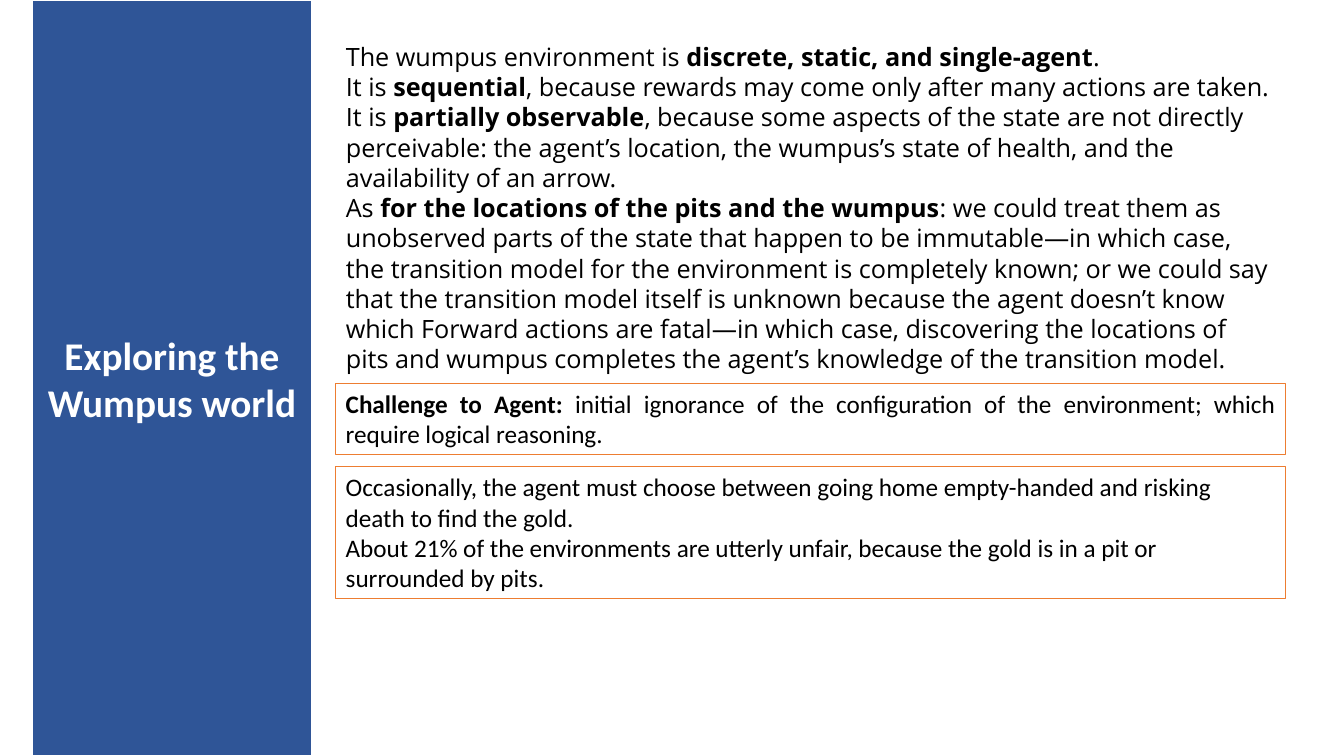
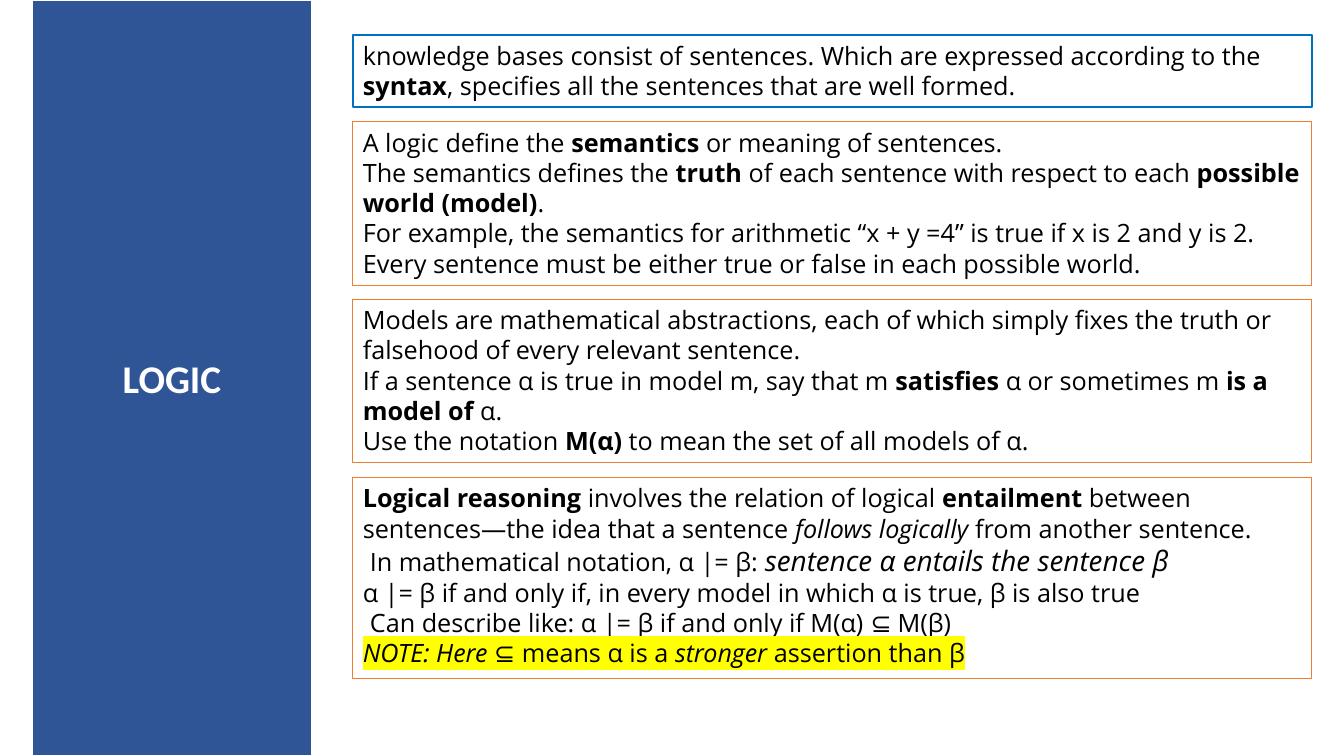
"""Build two slides on the Wumpus world and logic, each with a title band and text panels."""
from dataclasses import dataclass

from lxml import etree
from pptx import Presentation
from pptx import util as u
from pptx.dml import color
from pptx.enum import shapes, text
from pptx.oxml import ns

BLUE, AZURE, ORANGE = "2F5597", "0070C0", "ED7D31"
WHITE, BLACK, YELLOW = "FFFFFF", "000000", "FFFF00"
SANS, CALIBRI = "Open Sans", "Calibri"
FRAME = dict(word_wrap=True, auto_size=text.MSO_AUTO_SIZE.NONE,
             margin_left=u.Inches(0.1), margin_right=u.Inches(0.1),
             margin_top=u.Inches(0.05), margin_bottom=u.Inches(0.05))


@dataclass(frozen=True)
class Span:
    """A stretch of text in one style."""
    words: str
    bold: bool = False
    italic: bool = False
    size: float = 18


@dataclass(frozen=True)
class Para:
    """A paragraph with its first-line indent in inches and highlight."""
    spans: tuple[Span, ...]
    align: text.PP_ALIGN = text.PP_ALIGN.LEFT
    indent: float = 0
    highlight: str = ""


@dataclass(frozen=True)
class Panel:
    """A block of paragraphs, outlined when it has a line colour."""
    top: float
    height: float
    paras: tuple[Para, ...]
    line: str = ORANGE
    weight: float = 0.75
    font: str = SANS


@dataclass(frozen=True)
class Page:
    """A slide: its title and its column of panels."""
    title: str
    left: float
    width: float
    panels: tuple[Panel, ...]


def plain(words: str) -> Span:
    """Return regular text."""
    return Span(words)


def bold(words: str) -> Span:
    """Return bold text."""
    return Span(words, bold=True)


def italic(words: str, size: float = 18) -> Span:
    """Return italic text."""
    return Span(words, italic=True, size=size)


def line(*spans: Span, **options) -> Para:
    """Return a paragraph made of spans."""
    return Para(spans, **options)


def rgb(value: str) -> color.RGBColor:
    """Turn a hex string into a colour."""
    return color.RGBColor.from_string(value)


def apply(target, values: dict) -> None:
    """Set each named attribute on the target."""
    for name, value in values.items():
        setattr(target, name, value)


def place(shape, left: float, top: float, width: float, height: float) -> None:
    """Move and size a shape, in inches."""
    apply(shape, dict(left=u.Inches(left), top=u.Inches(top),
                      width=u.Inches(width), height=u.Inches(height)))


def outline(shape, value: str, weight: float) -> None:
    """Draw the outline of a shape, or none without a colour."""
    if value:
        shape.line.color.rgb = rgb(value)
        shape.line.width = u.Pt(weight)
    else:
        shape.line.fill.background()


def write(shape, paras: tuple[Para, ...], font: str, ink: str = BLACK,
          anchor: text.MSO_ANCHOR = text.MSO_ANCHOR.TOP) -> None:
    """Fill a shape with formatted paragraphs."""
    frame = shape.text_frame
    apply(frame, {**FRAME, "vertical_anchor": anchor})
    for index, para in enumerate(paras):
        target = frame.add_paragraph() if index else frame.paragraphs[0]
        apply(target, dict(alignment=para.align, line_spacing=1.0,
                           space_before=u.Pt(0), space_after=u.Pt(0)))
        props = target._p.get_or_add_pPr()
        props.set("marL", "0")
        props.set("indent", str(u.Inches(para.indent)))
        etree.SubElement(props, ns.qn("a:buNone"))
        for span in para.spans:
            run = target.add_run()
            run.text = span.words
            apply(run.font, dict(name=font, size=u.Pt(span.size),
                                 bold=span.bold, italic=span.italic))
            run.font.color.rgb = rgb(ink)
            if para.highlight:
                mark = etree.Element(ns.qn("a:highlight"))
                etree.SubElement(mark, ns.qn("a:srgbClr"), val=para.highlight)
                run._r.get_or_add_rPr().find(ns.qn("a:latin")).addprevious(mark)


def draw_title(shape, words: str) -> None:
    """Turn the title placeholder into the blue side band."""
    place(shape, 0.32, 0, 2.77, 7.5)
    shape.fill.solid()
    shape.fill.fore_color.rgb = rgb(BLUE)
    outline(shape, WHITE, 1)
    title = line(Span(words, bold=True, size=28), align=text.PP_ALIGN.CENTER)
    write(shape, (title,), CALIBRI, WHITE, text.MSO_ANCHOR.MIDDLE)


def draw_page(deck, page: Page) -> None:
    """Add a slide whose first panel is the body placeholder."""
    slide = deck.slides.add_slide(deck.slide_layouts[1])
    draw_title(slide.shapes.title, page.title)
    for index, panel in enumerate(page.panels):
        if index:
            box = slide.shapes.add_shape(shapes.MSO_SHAPE.RECTANGLE, 0, 0, 0, 0)
            box.shadow.inherit = False
        else:
            box = slide.placeholders[1]
        place(box, page.left, panel.top, page.width, panel.height)
        box.fill.background()
        outline(box, panel.line, panel.weight)
        write(box, panel.paras, panel.font)


PAGES = (
    Page("Exploring the Wumpus world", 3.33, 9.42, (
        Panel(0.36, 3.43, (
            line(plain("The wumpus environment is "),
                 bold("discrete, static, and single-agent"), plain(".")),
            line(plain("It is "), bold("sequential"),
                 plain(", because rewards may come only after many actions are taken.")),
            line(plain("It is "), bold("partially observable"),
                 plain(", because some aspects of the state are not directly perceivable: "
                       "the agent’s location, the wumpus’s state of health, and the "
                       "availability of an arrow.")),
            line(plain("As "), bold("for the locations of the pits and the wumpus"),
                 plain(": we could treat them as unobserved parts of the state that happen "
                       "to be immutable—in which case, the transition model for the "
                       "environment is completely known; or we could say that the "
                       "transition model itself is unknown because the agent doesn’t know "
                       "which Forward actions are fatal—in which case, discovering the "
                       "locations of pits and wumpus completes the agent’s knowledge of "
                       "the transition model.")),
        ), line=""),
        Panel(3.8, 0.71, (
            line(bold("Challenge to Agent:"),
                 plain(" initial ignorance of the configuration of the environment; "
                       "which require logical reasoning."),
                 align=text.PP_ALIGN.JUSTIFY),
        ), font=CALIBRI),
        Panel(4.63, 1.31, (
            line(plain("Occasionally, the agent must choose between going home "
                       "empty-handed and risking death to find the gold.")),
            line(plain("About 21% of the environments are utterly unfair, because the "
                       "gold is in a pit or surrounded by pits.")),
        ), font=CALIBRI),
    )),
    Page("LOGIC", 3.5, 9.51, (
        Panel(0.35, 0.71, (
            line(plain("knowledge bases consist of sentences. Which are expressed "
                       "according to the "), bold("syntax"),
                 plain(", specifies all the sentences that are well formed.")),
        ), line=AZURE, weight=1.5),
        Panel(1.21, 1.62, (
            line(plain("A logic define the "), bold("semantics "),
                 plain("or meaning of sentences.")),
            line(plain("The semantics defines the "), bold("truth "),
                 plain("of each sentence with respect to each "),
                 bold("possible world (model)"), plain(".")),
            line(plain("For example, the semantics for arithmetic “x + y =4” is true "
                       "if x is 2 and y is 2.")),
            line(plain("Every sentence must be either true or false in each possible world.")),
        )),
        Panel(2.97, 1.62, (
            line(plain("Models are mathematical abstractions, each of which simply fixes "
                       "the truth or falsehood of every relevant sentence.")),
            line(plain("If a sentence α is true in model m, say that m "),
                 bold("satisfies "), plain("α or sometimes m "),
                 bold("is a model of "), plain("α.")),
            line(plain("Use the notation "), bold("M(α)"),
                 plain(" to mean the set of all models of α.")),
        )),
        Panel(4.74, 1.99, (
            line(bold("Logical reasoning"), plain(" involves the relation of logical "),
                 bold("entailment "),
                 plain("between sentences—the idea that a sentence "),
                 italic("follows logically "), plain("from another sentence.")),
            line(plain("In mathematical notation, α |= β: "),
                 italic("sentence α entails the sentence β", 20), indent=0.07),
            line(plain("α |= β if and only if, in every model in which α is true, "
                       "β is also true")),
            line(plain("Can describe like: α |= β if and only if M(α) ⊆ M(β)"),
                 indent=0.07),
            line(italic("NOTE: Here "), plain("⊆ means α is a "), italic("stronger "),
                 plain("assertion than β"), highlight=YELLOW),
        )),
    )),
)


def main() -> None:
    """Build and save the deck."""
    deck = Presentation()
    apply(deck, dict(slide_width=u.Inches(13.33), slide_height=u.Inches(7.5)))
    for page in PAGES:
        draw_page(deck, page)
    deck.save("out.pptx")


if __name__ == "__main__":
    main()
